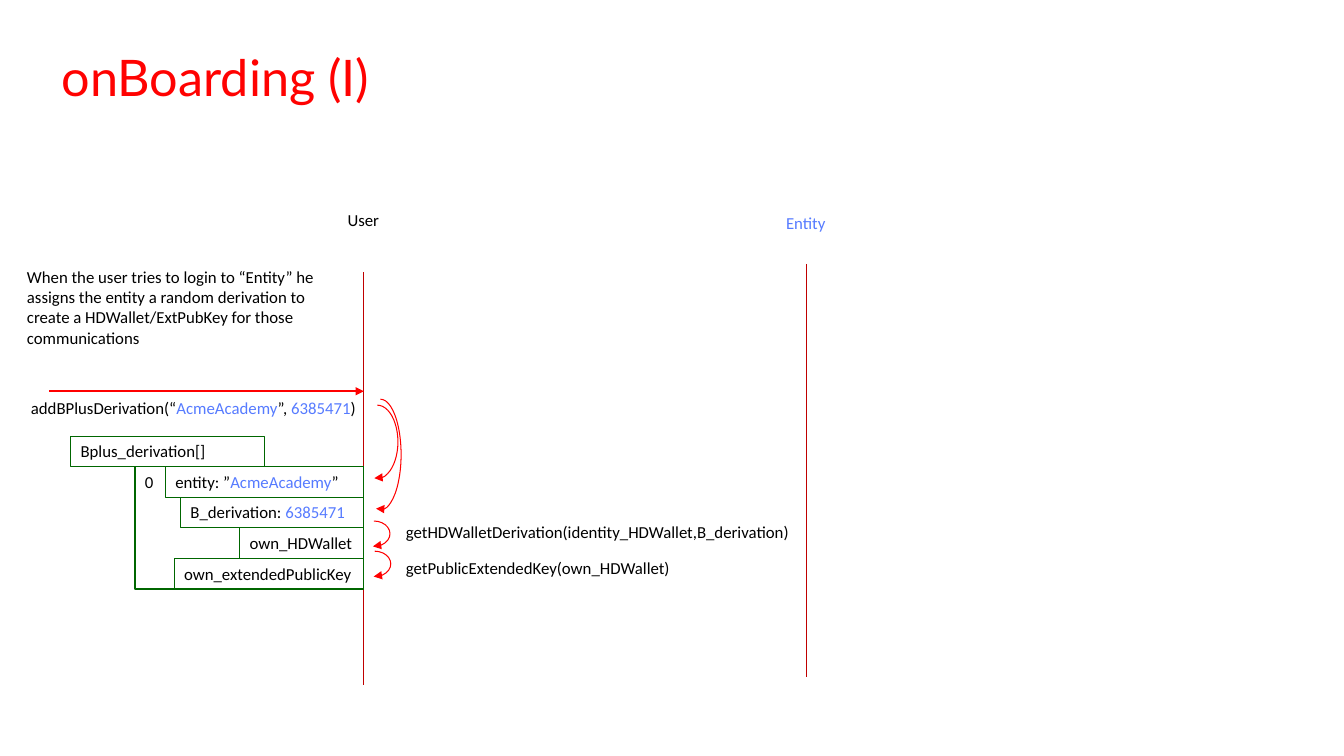
from pptx import Presentation
from pptx.util import Cm, Pt
from pptx.dml.color import RGBColor as Rgb
from pptx.enum.shapes import MSO_CONNECTOR as Conn, MSO_SHAPE as Kind
from pptx.enum.text import MSO_ANCHOR as Anchor, MSO_AUTO_SIZE as Fit, PP_ALIGN as Align
from pptx.oxml.ns import qn
from lxml.etree import SubElement as Sub

TITLE = "onBoarding (I)"
NOTE = ("When the user tries to login to “Entity” he assigns the entity a random "
        "derivation to create a HDWallet/ExtPubKey for those communications")
LABELS = [
    ("*Entity", 19.56, 5.23, 1.52),
    ("User", 8.51, 5.16, 1.32),
    ("addBPlusDerivation(“*AcmeAcademy*”, *6385471*)", 0.53, 9.91, 8.76),
    ("getHDWalletDerivation(identity_HDWallet,B_derivation)", 9.98, 13.03, 10.26),
    ("getPublicExtendedKey(own_HDWallet)", 9.98, 13.92, 7.24),
]
FIELDS = [
    ("entity: ”*AcmeAcademy*”", 5.0),
    ("B_derivation: *6385471", 4.62),
    ("own_HDWallet", 3.13),
    ("own_extendedPublicKey", 4.78),
]
ARCS = [
    (9.02, 13.13, 0.81, 0.64),
    (8.99, 10.21, 1.04, 1.85),
    (9.04, 13.89, 0.81, 0.64),
    (9.07, 10.06, 1.04, 2.79),
]
USER, ENTITY = 9.17, 20.32
SPAN, ROW, TOP = 10.41, 0.77, 11.76

THEME = {
    "ink": Rgb(0, 0, 0), "blue": Rgb(0x56, 0x7B, 0xFF),
    "head": Rgb(0xFF, 0x02, 0x01), "red": Rgb(0xFF, 0, 0),
    "life": Rgb(0xC0, 0, 0), "green": Rgb(0, 0x66, 0),
    "font": "Calibri", "lead": "Lato", "size": Pt(12), "big": Pt(36),
    "thin": Pt(0.75), "mid": Pt(1), "bold": Pt(1.5),
}


def put(item, **form):
    for key, val in form.items():
        setattr(item, key, val)


def write(shape, text, wrap=True, fit=Fit.SHAPE_TO_FIT_TEXT):
    frame = shape.text_frame
    put(frame, word_wrap=wrap, auto_size=fit, vertical_anchor=Anchor.TOP)
    para = frame.paragraphs[0]
    para.alignment = Align.LEFT
    for num, part in enumerate(text.split("*")):
        if part:
            run = para.add_run()
            run.text = part
            put(run.font, name=THEME["font"], size=THEME["size"])
            run.font.color.rgb = THEME["blue" if num % 2 else "ink"]


def stroke(item, tint, width, arrow=False):
    item.line.color.rgb = THEME[tint]
    item.line.width = THEME[width]
    if arrow:
        Sub(item.line._get_or_add_ln(), qn("a:tailEnd"), type="triangle")


def shape(kind, area, tint, width, arrow=False):
    item = slide.shapes.add_shape(kind, *map(Cm, area))
    item.shadow.inherit = False
    item.fill.background()
    stroke(item, tint, width, arrow)
    return item


def line(ends, tint, width, arrow=False):
    item = slide.shapes.add_connector(Conn.STRAIGHT, *map(Cm, ends))
    stroke(item, tint, width, arrow)
    Sub(item._element.spPr, qn("a:effectLst"))


def label(text, area, wrap):
    write(slide.shapes.add_textbox(*map(Cm, area)), text, wrap)


deck = Presentation()
put(deck, slide_width=Cm(33.87), slide_height=Cm(19.05))
slide = deck.slides.add_slide(deck.slide_layouts[5])

title = slide.shapes.title
put(title, left=Cm(1.55), top=Cm(1.17), width=Cm(21.18), height=Cm(1.55))
title.text = TITLE
put(title.text_frame, margin_left=0, margin_top=0, margin_right=0, margin_bottom=0,
    vertical_anchor=Anchor.TOP, auto_size=Fit.NONE)
head = title.text_frame.paragraphs[0]
head.alignment = Align.LEFT
put(head.font, name=THEME["lead"], size=THEME["big"])
head.font.color.rgb = THEME["head"]

for x, y in ((USER, 6.86), (ENTITY, 6.65)):
    line((x, y, x, y + SPAN), "life", "thin")
line((1.24, 9.86, USER, 9.86), "red", "bold", True)

for text, x, y, wide in LABELS:
    label(text, (x, y, wide, ROW), False)
label(NOTE, (0.43, 6.6, 8.23, 2.31), True)

write(shape(Kind.RECTANGLE, (1.78, TOP - ROW, 4.88, ROW), "green", "thin"), "Bplus_derivation[]")
group = shape(Kind.RECTANGLE, (3.4, TOP, USER - 3.4, 4 * ROW), "green", "mid")
write(group, "0", fit=Fit.NONE)
for num, (text, wide) in enumerate(FIELDS):
    area = (USER - wide, TOP + num * ROW, wide, ROW)
    write(shape(Kind.RECTANGLE, area, "green", "thin"), text)

for area in ARCS:
    arc = shape(Kind.ARC, area, "red", "thin", True)
    arc.adjustments[0] = 162
    arc.adjustments[1] = 56.82

deck.save("out.pptx")
